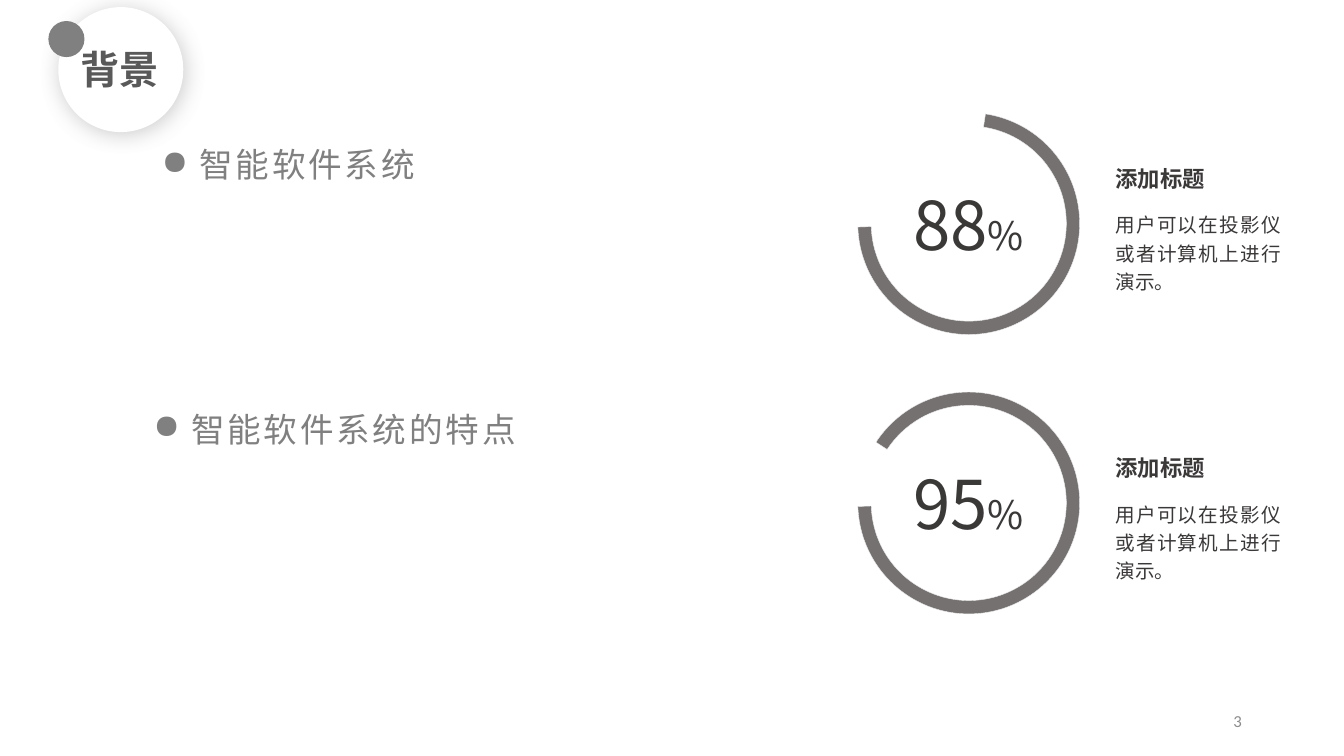
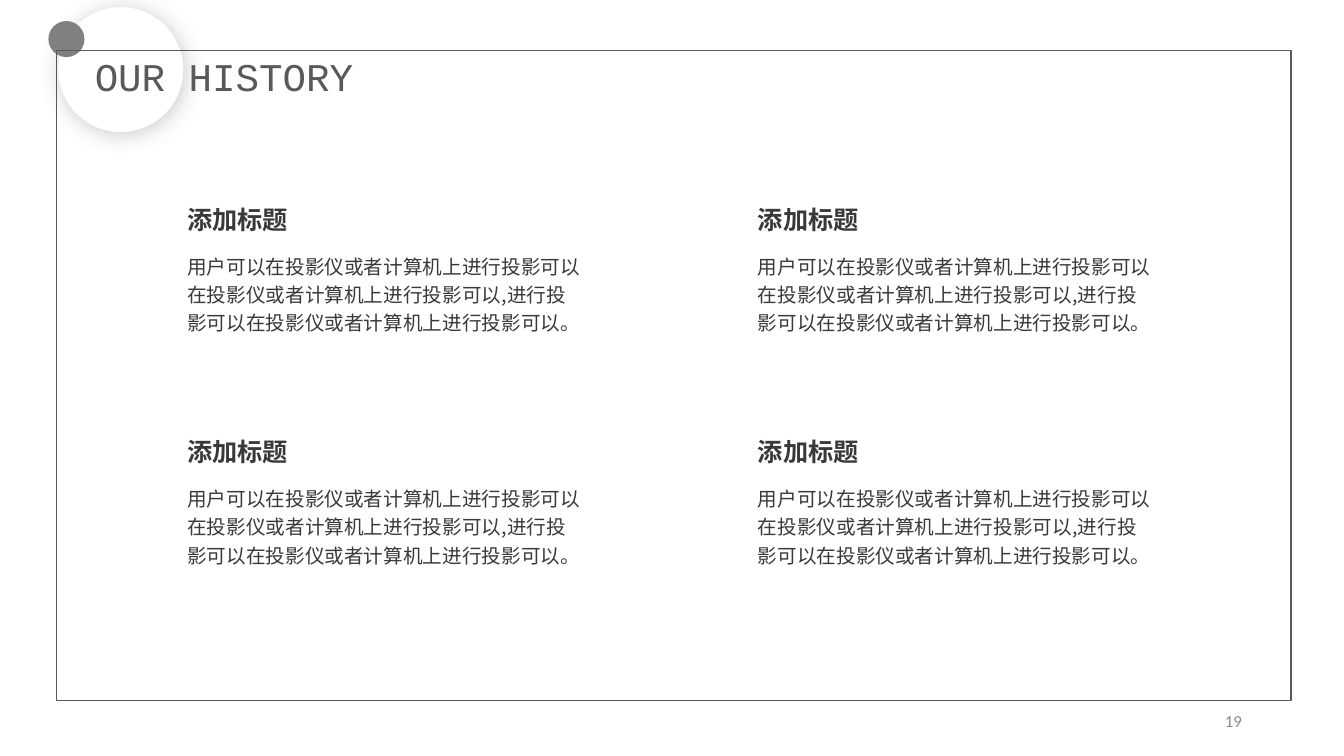
"""Build two slides that share a round title badge and a page number."""
from lxml import etree
from pptx import Presentation
from pptx.dml.color import RGBColor
from pptx.enum.shapes import MSO_SHAPE
from pptx.enum.text import MSO_ANCHOR, PP_ALIGN
from pptx.oxml.ns import qn
from pptx.util import Cm, Pt

OVAL, RECTANGLE, ARC = MSO_SHAPE.OVAL, MSO_SHAPE.RECTANGLE, MSO_SHAPE.BLOCK_ARC
TOP, MIDDLE = MSO_ANCHOR.TOP, MSO_ANCHOR.MIDDLE
LEFT, CENTER, RIGHT, JUSTIFY = PP_ALIGN.LEFT, PP_ALIGN.CENTER, PP_ALIGN.RIGHT, PP_ALIGN.JUSTIFY

WHITE = RGBColor(0xFF, 0xFF, 0xFF)
PALE = RGBColor(0xF2, 0xF2, 0xF2)
PAGE_GRAY = RGBColor(0x8C, 0x8C, 0x8C)
GRAY = RGBColor(0x80, 0x80, 0x80)
RING_GRAY = RGBColor(0x76, 0x71, 0x71)
TITLE_GRAY = RGBColor(0x59, 0x59, 0x59)
INK = RGBColor(0x3B, 0x38, 0x38)

SANS, MONO, NUMBER_FONT = "Noto Sans CJK SC", "Courier New", "Calibri"

HEADING = "添加标题"
RING_TEXT = "用户可以在投影仪或者计算机上进行演示。"
HISTORY_TEXT = ("用户可以在投影仪或者计算机上进行投影可以在投影仪或者计算机上进行投影可以,"
                "进行投影可以在投影仪或者计算机上进行投影可以。")

BULLETS = [("智能软件系统", 3.63, 7.21), ("智能软件系统的特点", 10.29, 9.55)]
RINGS = [("88", 278.7, 2.84, 4.04), ("95", 213.23, 9.88, 11.33)]
RING_END = 178.19
RING_LEFT, RING_SIZE, RING_BAND = 21.62, 5.59, 0.06
ADJUSTMENT_PER_DEGREE = 0.6
CARD_COLUMNS, CARD_ROWS = (4.47, 18.85), (5.03, 10.88)


def add_shape(shapes, kind, left, top, width, height, fill=None, line=None, weight=1):
    shape = shapes.add_shape(kind, Cm(left), Cm(top), Cm(width), Cm(height))
    shape.shadow.inherit = False
    if fill is None:
        shape.fill.background()
    else:
        shape.fill.solid()
        shape.fill.fore_color.rgb = fill
    if line is None:
        shape.line.fill.background()
    else:
        shape.line.color.rgb = line
        shape.line.width = Pt(weight)
    return shape


def add_glow(shape):
    effects = shape._element.spPr.find(qn("a:effectLst"))
    shadow = etree.SubElement(effects, qn("a:outerShdw"), blurRad=str(Pt(16)),
                              dist=str(Pt(2)), dir=str(60 * 60000), rotWithShape="0")
    color = etree.SubElement(shadow, qn("a:srgbClr"), val=str(GRAY))
    etree.SubElement(color, qn("a:alpha"), val="40000")


def add_text(page, spans, left, top, width, height, size, color, font=SANS, bold=False,
             align=LEFT, anchor=TOP, inset=True, wrap=True, spacing=None, bullet=None):
    """Add one paragraph; spans is a string or a list of (text, size) pairs."""
    box = page.shapes.add_textbox(Cm(left), Cm(top), Cm(width), Cm(height))
    frame = box.text_frame
    frame.word_wrap = wrap
    frame.vertical_anchor = anchor
    if not inset:
        frame.margin_left = frame.margin_right = frame.margin_top = frame.margin_bottom = 0
    para = frame.paragraphs[0]
    para.alignment = align
    if spacing:
        para.line_spacing = spacing
    properties = para._p.get_or_add_pPr()
    if bullet:
        properties.set("marL", str(Cm(0.95)))
        properties.set("indent", str(-Cm(0.95)))
        etree.SubElement(properties, qn("a:buChar"), char=bullet)
    para.font.name = font
    para.font.size = Pt(size)
    para.font.bold = bold
    para.font.color.rgb = color
    defaults = properties.find(qn("a:defRPr"))
    etree.SubElement(defaults, qn("a:ea"), typeface=font)
    if bullet:
        defaults.set("spc", "200")
    if isinstance(spans, str):
        para.add_run().text = spans
    else:
        for text, span_size in spans:
            span = para.add_run()
            span.text = text
            span.font.size = Pt(span_size)


def add_page(deck, number):
    page = deck.slides.add_slide(deck.slide_layouts[6])
    badge = page.shapes.add_group_shape()
    add_glow(add_shape(badge.shapes, OVAL, 1.47, 0.18, 3.15, 3.15, WHITE))
    add_shape(badge.shapes, OVAL, 1.22, 0.53, 0.91, 0.91, GRAY)
    add_text(page, number, 23.93, 17.65, 7.62, 1.02, 12, PAGE_GRAY, NUMBER_FONT,
             align=RIGHT, anchor=MIDDLE)
    return page


def add_title(page, text, left, top, width, font=SANS, bold=False):
    add_text(page, text, left, top, width, 1.19, 28, TITLE_GRAY, font, bold,
             anchor=MIDDLE, inset=False)


def add_card(page, text, left, top, width, heading_size, gap, align=LEFT):
    add_text(page, text, left, top + gap, width, 2.41, 14, INK, align=align, spacing=1.2)
    add_text(page, HEADING, left, top, 4.04, 1.02, heading_size, INK, bold=True)


def add_ring(page, value, start, top):
    ring = add_shape(page.shapes, ARC, RING_LEFT, top, RING_SIZE, RING_SIZE,
                     RING_GRAY, PALE, 0.25)
    ring.adjustments[0] = start * ADJUSTMENT_PER_DEGREE
    ring.adjustments[1] = RING_END * ADJUSTMENT_PER_DEGREE
    ring.adjustments[2] = RING_BAND
    add_text(page, [(value, 48), ("%", 28)], RING_LEFT + 1.09, top + 1.64, 3.4, 2.31,
             48, INK, align=CENTER, anchor=MIDDLE, wrap=False)


def build_background(deck):
    page = add_page(deck, "3")
    for value, start, ring_top, card_top in RINGS:
        add_ring(page, value, start, ring_top)
        add_card(page, RING_TEXT, 27.86, card_top, 4.67, 16, 1.09, JUSTIFY)
    add_title(page, "背景", 2.03, 1.14, 2.54, bold=True)
    for text, top, width in BULLETS:
        add_text(page, text, 3.66, top, width, 1.02, 24, GRAY, align=CENTER,
                 anchor=MIDDLE, inset=False, bullet="●")


def build_history(deck):
    page = add_page(deck, "19")
    add_shape(page.shapes, RECTANGLE, 1.42, 1.27, 31.12, 16.38, line=TITLE_GRAY)
    for top in CARD_ROWS:
        for left in CARD_COLUMNS:
            add_card(page, HISTORY_TEXT, left, top, 10.49, 18, 1.15)
    add_title(page, "OUR HISTORY", 2.39, 1.32, 7.9, MONO)


def main():
    deck = Presentation()
    deck.slide_width, deck.slide_height = Cm(33.87), Cm(19.05)
    build_background(deck)
    build_history(deck)
    deck.save("out.pptx")


if __name__ == "__main__":
    main()
